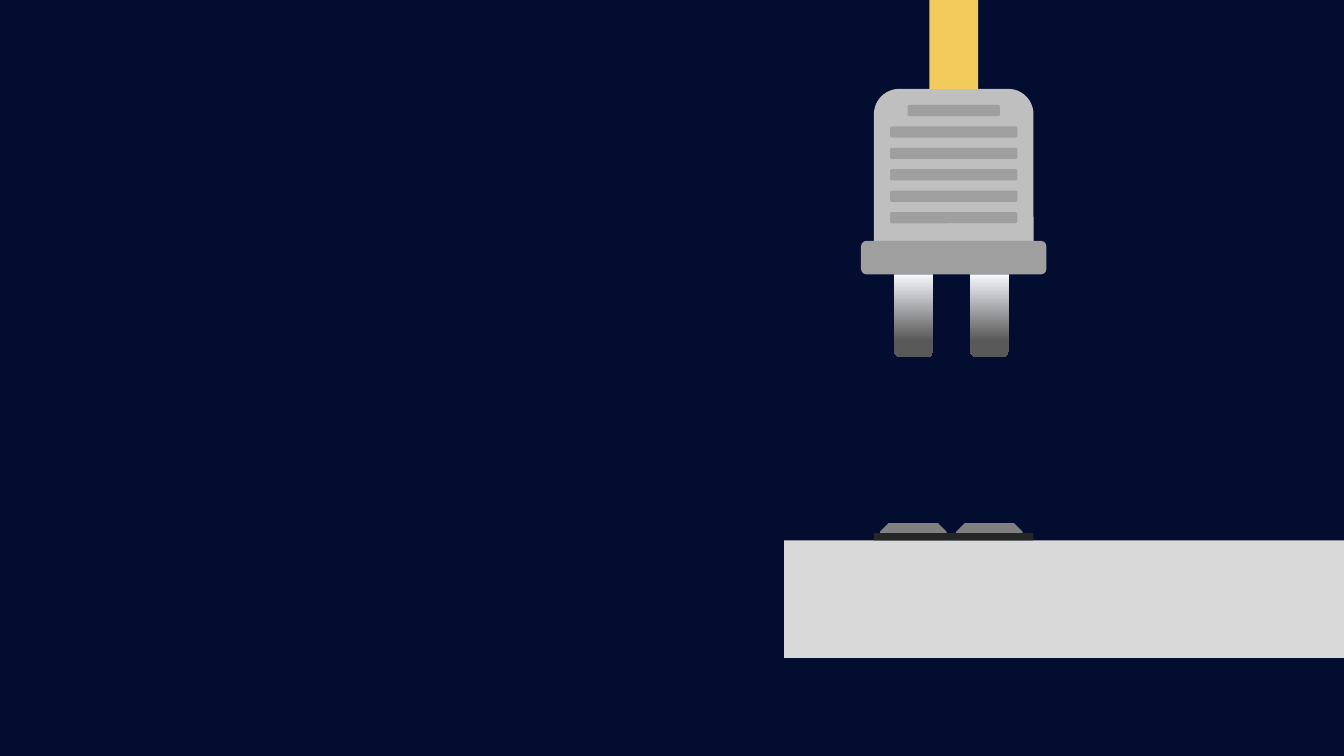
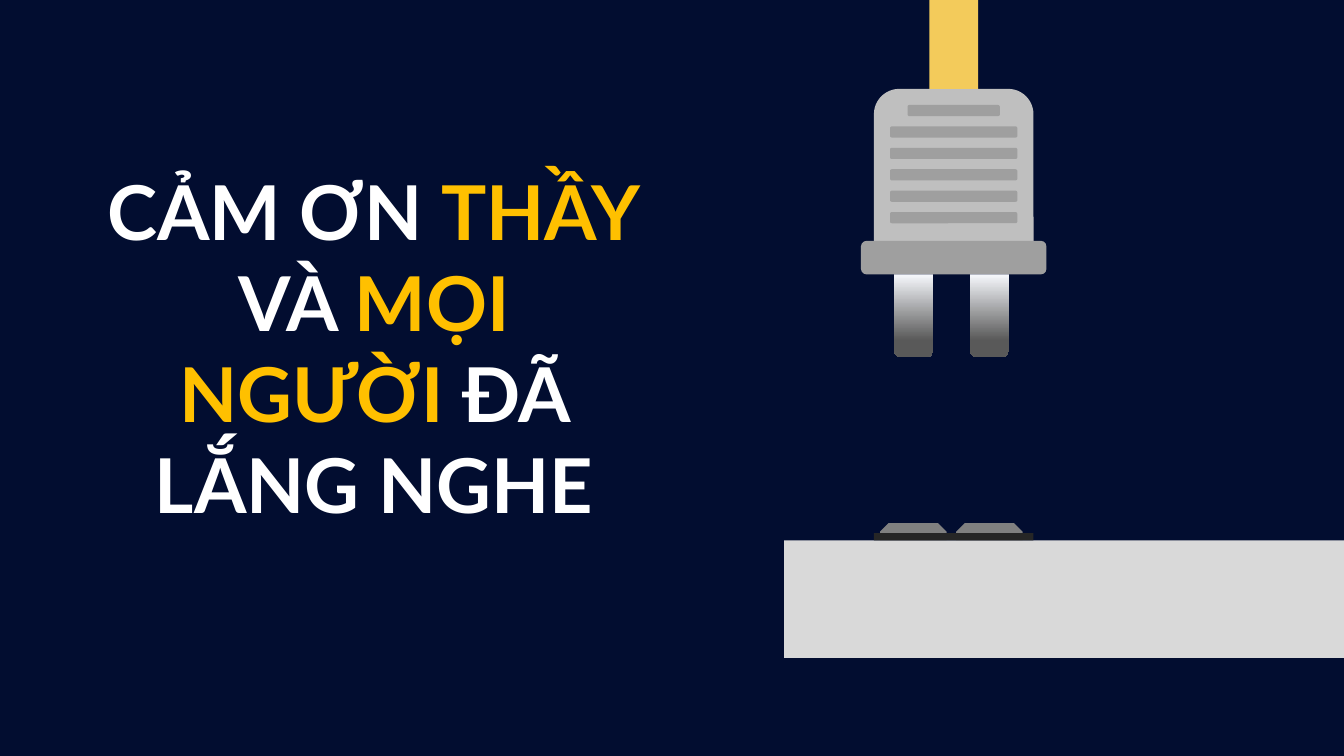
from pptx import Presentation
from pptx.dml.color import RGBColor
from pptx.enum.shapes import MSO_SHAPE
from pptx.enum.text import MSO_ANCHOR, MSO_AUTO_SIZE, PP_ALIGN
from pptx.util import Pt

RECT = MSO_SHAPE.RECTANGLE
ROUNDED = MSO_SHAPE.ROUNDED_RECTANGLE
ROUND_TOP = MSO_SHAPE.ROUND_2_SAME_RECTANGLE
SNIP_TOP = MSO_SHAPE.SNIP_2_SAME_RECTANGLE
TOP = MSO_ANCHOR.TOP
CENTER = PP_ALIGN.CENTER
NO_AUTOFIT = MSO_AUTO_SIZE.NONE

NAVY = RGBColor(0x02, 0x0D, 0x30)
CORD_YELLOW = RGBColor(0xF3, 0xCB, 0x5B)
BODY_GRAY = RGBColor(0xBF, 0xBF, 0xBF)
RIB_GRAY = RGBColor(0x9F, 0x9F, 0x9F)
PRONG_LIGHT = RGBColor(0xF6, 0xF8, 0xFC)
PRONG_DARK = RGBColor(0x59, 0x59, 0x59)
COUNTER_GRAY = RGBColor(0xD9, 0xD9, 0xD9)
CONTACT_GRAY = RGBColor(0x80, 0x80, 0x80)
STRIP_BLACK = RGBColor(0x26, 0x26, 0x26)
WHITE = RGBColor(0xFF, 0xFF, 0xFF)
AMBER = RGBColor(0xFF, 0xC0, 0x00)

FONT = "Lato"
SLIDE_WIDTH, SLIDE_HEIGHT = 960, 540
TITLE_ONLY, BLANK = 5, 6
PLUG_BOX = (615, 0, 132.5)
SOCKET_BOX = (560, 373.7, 400)
THANKS_BOX = (65.5, 114.5, 403.2, 268)
THANKS = [
    ("CẢM ƠN ", WHITE),
    ("THẦY", AMBER),
    (" VÀ ", WHITE),
    ("MỌI NGƯỜI ", AMBER),
    ("ĐÃ LẮNG NGHE", WHITE),
]


def add_part(shapes, outline, left, top, width, height, color):
    """Add a flat, borderless part with lengths in points."""
    part = shapes.add_shape(outline, Pt(left), Pt(top), Pt(width), Pt(height))
    part.shadow.inherit = False
    part.line.fill.background()
    part.fill.solid()
    part.fill.fore_color.rgb = color
    return part


def add_prong(shapes, left, top):
    """Add a metal prong, rounded and dark at its tip."""
    prong = add_part(shapes, ROUND_TOP, left, top, 28, 59, PRONG_DARK)
    prong.rotation = 180
    prong.fill.gradient()
    prong.fill.gradient_angle = 90
    light, dark = prong.fill.gradient_stops
    light.color.rgb, light.position = PRONG_LIGHT, 0
    dark.color.rgb, dark.position = PRONG_DARK, 0.8


def draw_plug(slide, left, top, width):
    """Draw the hanging plug, centred in its box, as one group."""
    plug = slide.shapes.add_group_shape().shapes
    center = left + width / 2

    def centered(outline, part_width, offset, height, color):
        """Add a part centred on the axis of the plug."""
        add_part(plug, outline, center - part_width / 2, top + offset,
                 part_width, height, color)

    centered(ROUND_TOP, 114, 63.5, 108.5, BODY_GRAY)
    centered(ROUNDED, width, 172, 24, RIB_GRAY)
    for row in range(6):
        centered(ROUNDED, 91 if row else 66, 75 + 15.3 * row, 8, RIB_GRAY)
    centered(RECT, 35, 0, 63.5, CORD_YELLOW)
    for offset in (23.6, 77.8):
        add_prong(plug, left + offset, top + 196)


def draw_socket(slide, left, top, width):
    """Draw the counter with the two raised contacts of the socket."""
    add_part(slide.shapes, RECT, left, top + 12.3, width, 84, COUNTER_GRAY)
    for offset in (68.6, 123):
        contact = add_part(slide.shapes, SNIP_TOP, left + offset, top,
                           47.5, 12.3, CONTACT_GRAY)
        contact.adjustments[0] = 0.5
        contact.adjustments[1] = 0
    add_part(slide.shapes, RECT, left + 64.2, top + 7.2, 114, 5.1, STRIP_BLACK)


def write_thanks(slide, left, top, width, height):
    """Write the closing words in the title placeholder."""
    thanks = slide.shapes.title
    thanks.left, thanks.top = Pt(left), Pt(top)
    thanks.width, thanks.height = Pt(width), Pt(height)
    frame = thanks.text_frame
    frame.word_wrap = True
    frame.auto_size = NO_AUTOFIT
    frame.vertical_anchor = TOP
    sentence = frame.paragraphs[0]
    sentence.alignment = CENTER
    for words, color in THANKS:
        run = sentence.add_run()
        run.text = words
        run.font.name = FONT
        run.font.size = Pt(54)
        run.font.bold = True
        run.font.color.rgb = color


def add_plug_slide(deck, layout):
    """Add a slide showing the plug above the socket."""
    slide = deck.slides.add_slide(deck.slide_layouts[layout])
    draw_plug(slide, *PLUG_BOX)
    draw_socket(slide, *SOCKET_BOX)
    return slide


def main():
    """Build and save the two slides."""
    deck = Presentation()
    deck.slide_width, deck.slide_height = Pt(SLIDE_WIDTH), Pt(SLIDE_HEIGHT)
    backdrop = deck.slide_master.background.fill
    backdrop.solid()
    backdrop.fore_color.rgb = NAVY
    add_plug_slide(deck, BLANK)
    closing = add_plug_slide(deck, TITLE_ONLY)
    write_thanks(closing, *THANKS_BOX)
    deck.save("out.pptx")


if __name__ == "__main__":
    main()
